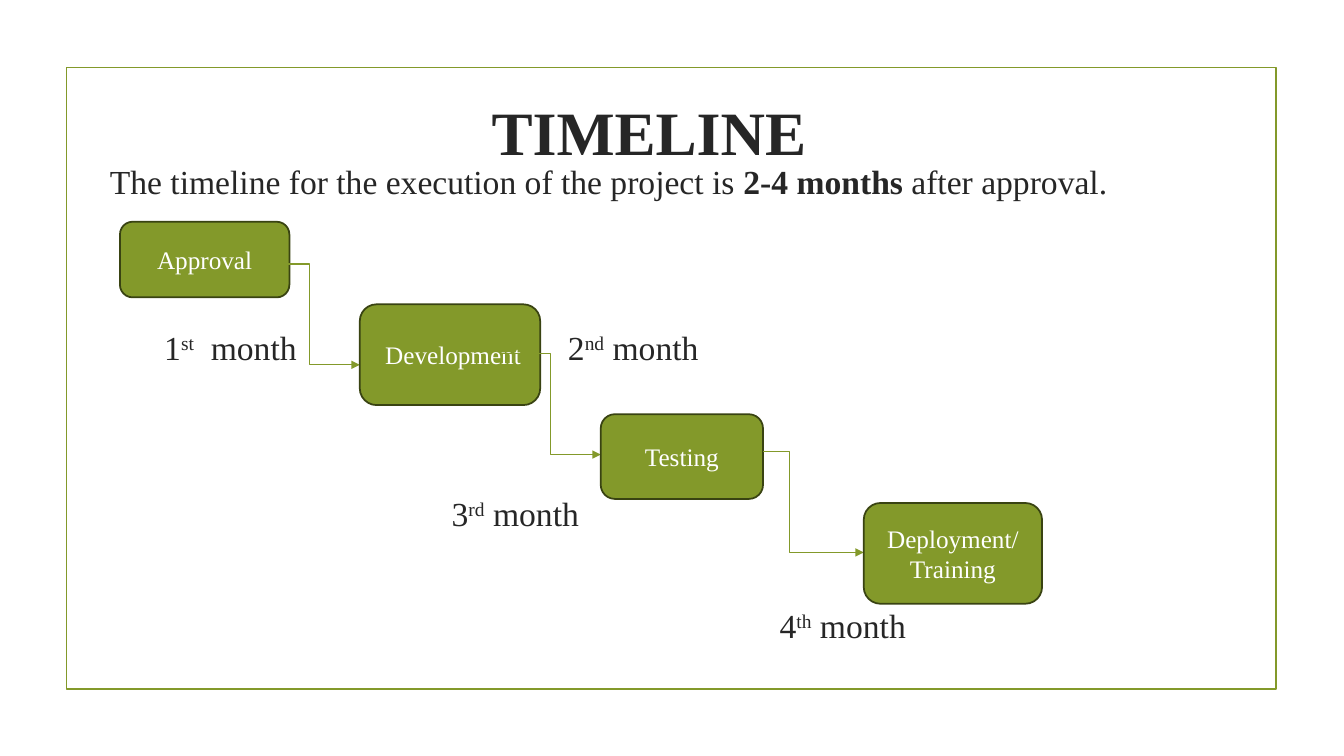
import pptx
import pptx.util
import pptx.dml.color
import pptx.enum.shapes
import pptx.enum.text
import pptx.oxml
import pptx.oxml.ns

Pt = pptx.util.Pt
RGB = pptx.dml.color.RGBColor.from_string
SHAPE = pptx.enum.shapes.MSO_SHAPE
CENTER = pptx.enum.text.PP_ALIGN.CENTER
MIDDLE = pptx.enum.text.MSO_ANCHOR.MIDDLE
NS = pptx.oxml.ns.nsdecls("a")

THEME = {
    "font": "Times New Roman",
    "green": RGB("83992A"),
    "outline": RGB("394312"),
    "ink": RGB("262626"),
    "white": RGB("FFFFFF"),
    "title": 44,
    "body": 24,
    "stage": 18,
}


def add_run(paragraph, text, size, color, bold=False, raised=False):
    run = paragraph.add_run()
    run.text = text
    run.font.name = THEME["font"]
    run.font.size = Pt(THEME[size])
    run.font.color.rgb = THEME[color]
    run.font.bold = bold
    if raised:
        run.font._element.set("baseline", "30000")


def add_caption(left, top, width):
    frame = slide.shapes.add_textbox(Pt(left), Pt(top), Pt(width), Pt(30)).text_frame
    frame.word_wrap = True
    frame.margin_left = frame.margin_right = frame.margin_top = frame.margin_bottom = 0
    return frame.paragraphs[0]


deck = pptx.Presentation()
deck.slide_width, deck.slide_height = Pt(960), Pt(540)
slide = deck.slides.add_slide(deck.slide_layouts[5])

heading = slide.shapes.title
heading.left, heading.top, heading.width, heading.height = Pt(85.7), Pt(50.4), Pt(756), Pt(86.4)
heading.text_frame.vertical_anchor = MIDDLE
heading.text_frame.paragraphs[0].alignment = CENTER
add_run(heading.text_frame.paragraphs[0], "TIMELINE", "title", "ink", bold=True)

border = slide.shapes.add_shape(SHAPE.RECTANGLE, Pt(47.5), Pt(48.2), Pt(864), Pt(444.2))
border.shadow.inherit = False
border.fill.background()
border.line.color.rgb = THEME["green"]
border.line.width = Pt(1.25)

intro = add_caption(78.5, 115, 804)
add_run(intro, "The timeline for the execution of the project is ", "body", "ink")
add_run(intro, "2-4 months ", "body", "ink", bold=True)
add_run(intro, "after approval.", "body", "ink")

months = [
    ("1", "st", "  month", 117.3, 233.6),
    ("2", "nd", " month", 405.7, 233.6),
    ("3", "rd", " month", 322.6, 352.2),
    ("4", "th", " month", 556.9, 432.2),
]
for number, ordinal, word, left, top in months:
    month = add_caption(left, top, 110)
    add_run(month, number, "body", "ink")
    add_run(month, ordinal, "body", "ink", raised=True)
    add_run(month, word, "body", "ink")

STEP = 72
stages = [
    ("Approval", 85.7, 158.4, 121, 54, None, None),
    (" Development", 257, 217.4, 128.9, 72, 188.6, 50000),
    ("Testing", 429.1, 295.9, 115.9, 60.5, 252.7, 50000),
    ("Deployment/Training", 617, 359.3, 127.4, 72, 322.6, 26800),
]
for name, left, top, width, height, arrow_top, bend in stages:
    if arrow_top:
        arrow = slide.shapes.add_connector(
            pptx.enum.shapes.MSO_CONNECTOR.ELBOW,
            Pt(left - STEP), Pt(arrow_top), Pt(left), Pt(arrow_top + STEP))
        arrow.line.color.rgb = THEME["green"]
        arrow.line.width = Pt(0.75)
        arrow.line._get_or_add_ln().append(
            pptx.oxml.parse_xml(f'<a:tailEnd {NS} type="triangle"/>'))
        properties = arrow._element.spPr
        properties.append(pptx.oxml.parse_xml(f"<a:effectLst {NS}/>"))
        guides = properties.find(pptx.oxml.ns.qn("a:prstGeom")).get_or_add_avLst()
        guides.append(pptx.oxml.parse_xml(f'<a:gd {NS} name="adj1" fmla="val {bend}"/>'))

    stage = slide.shapes.add_shape(
        SHAPE.ROUNDED_RECTANGLE, Pt(left), Pt(top), Pt(width), Pt(height))
    stage.shadow.inherit = False
    stage.fill.solid()
    stage.fill.fore_color.rgb = THEME["green"]
    stage.line.color.rgb = THEME["outline"]
    stage.line.width = Pt(1.25)
    stage.text_frame.word_wrap = True
    stage.text_frame.vertical_anchor = MIDDLE
    stage.text_frame.paragraphs[0].alignment = CENTER
    add_run(stage.text_frame.paragraphs[0], name, "stage", "white")

deck.save("out.pptx")
